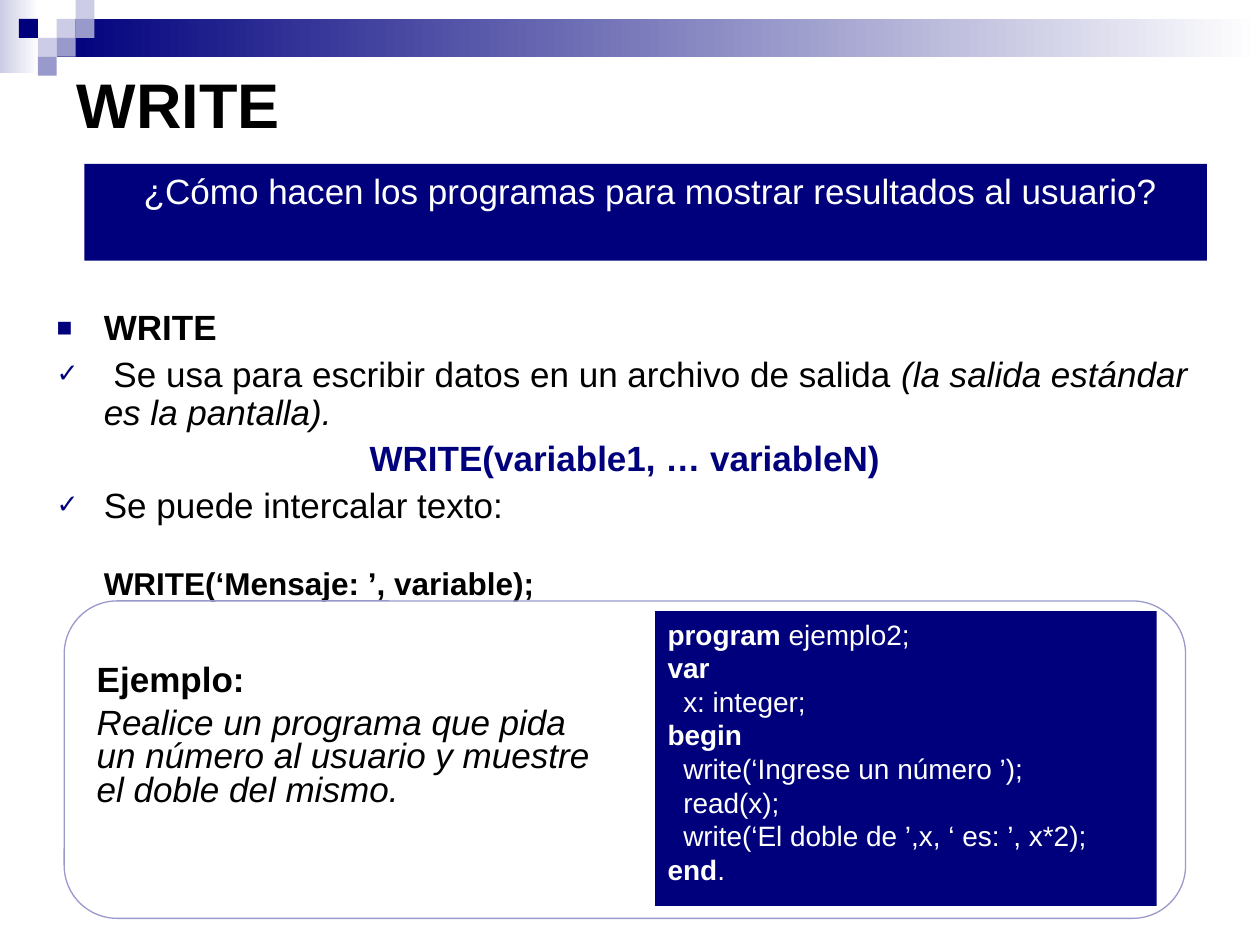
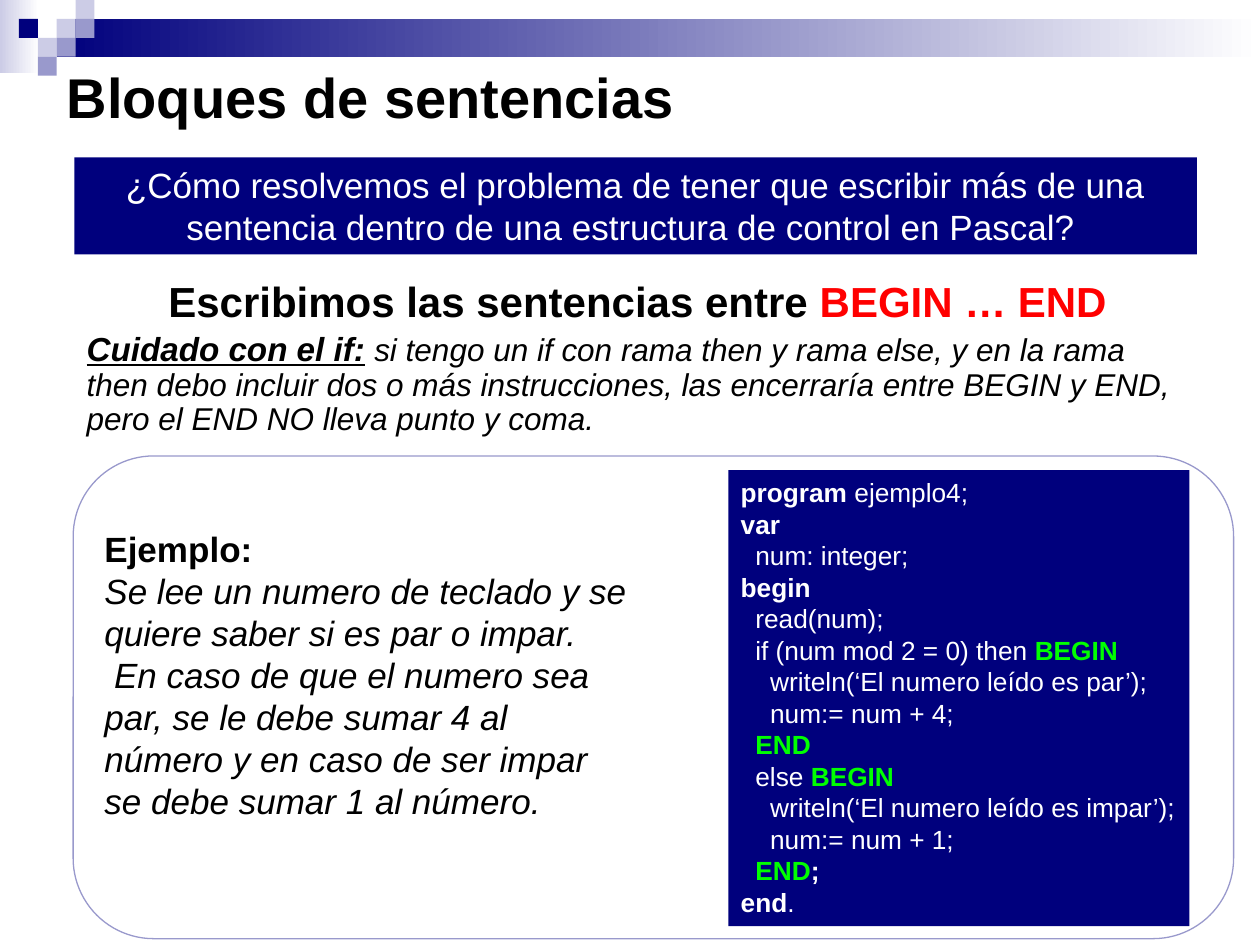
from dataclasses import dataclass

from lxml import etree
from pptx import Presentation
from pptx.dml.color import RGBColor
from pptx.enum.shapes import MSO_SHAPE
from pptx.enum.text import MSO_ANCHOR, MSO_AUTO_SIZE, PP_ALIGN
from pptx.oxml.ns import qn
from pptx.util import Pt

RECT, ROUND_RECT = MSO_SHAPE.RECTANGLE, MSO_SHAPE.ROUNDED_RECTANGLE
TOP, BOTTOM = MSO_ANCHOR.TOP, MSO_ANCHOR.BOTTOM
LEFT, CENTER = PP_ALIGN.LEFT, PP_ALIGN.CENTER
NO_FIT = MSO_AUTO_SIZE.NONE


@dataclass(frozen=True)
class Theme:
    font: str = "Arial"
    navy: str = "00007D"
    lavender: str = "9999CC"
    mist: str = "CCCCE6"
    white: str = "FFFFFF"
    black: str = "000000"
    red: str = "FF0000"
    green: str = "00FF00"
    text_size: float = 20
    small_size: float = 18
    warning_size: float = 19
    lead_size: float = 24


THEME = Theme()
BOLD = {"bold": True}
ITALIC = {"italic": True}
GREEN_BOLD = {"bold": True, "color": THEME.green}


def add_block(slide, kind, box, fill=None, line=None):
    """Add a shape at (left, top, width, height); a pair of fills is a gradient."""
    block = slide.shapes.add_shape(kind, *map(Pt, box))
    block.shadow.inherit = False
    if isinstance(fill, tuple):
        block.fill.gradient()
        block.fill.gradient_angle = 0
        for stop, color in zip(block.fill.gradient_stops, fill):
            stop.color.rgb = RGBColor.from_string(color)
    elif fill:
        block.fill.solid()
        block.fill.fore_color.rgb = RGBColor.from_string(fill)
    else:
        block.fill.background()
    if line:
        block.line.color.rgb = RGBColor.from_string(line)
        block.line.width = Pt(0.75)
    else:
        block.line.fill.background()
    return block


def write(shape, paragraphs, size=THEME.text_size, color=THEME.black, anchor=TOP, bottom=3.6):
    """Fill a shape with (runs, paragraph format) pairs; a run is (text, font format)."""
    frame = shape.text_frame
    frame_format = {
        "word_wrap": True, "auto_size": NO_FIT, "vertical_anchor": anchor,
        "margin_left": Pt(7.2), "margin_right": Pt(7.2),
        "margin_top": Pt(3.6), "margin_bottom": Pt(bottom),
    }
    for key, value in frame_format.items():
        setattr(frame, key, value)
    for number, (runs, layout) in enumerate(paragraphs):
        paragraph = frame.add_paragraph() if number else frame.paragraphs[0]
        look = {"alignment": LEFT, "line_spacing": 1.0, "space_before": Pt(0)} | layout
        bullet, margin = look.pop("bullet", None), look.pop("margin", 0)
        for key, value in look.items():
            setattr(paragraph, key, value)
        properties = paragraph._p.get_or_add_pPr()
        properties.set("marL", str(Pt(margin)))
        properties.set("indent", str(-Pt(margin) if bullet else 0))
        if bullet:
            bullet_color = etree.SubElement(properties, qn("a:buClr"))
            etree.SubElement(bullet_color, qn("a:srgbClr"), val=THEME.navy)
            etree.SubElement(properties, qn("a:buSzPct"), val="75000")
            etree.SubElement(properties, qn("a:buFont"), typeface=THEME.font)
            etree.SubElement(properties, qn("a:buChar"), char=bullet)
        for text, font_format in runs:
            run = paragraph.add_run()
            run.text = text
            style = {"name": THEME.font, "size": size, "color": color, "bold": False} | font_format
            run.font.color.rgb = RGBColor.from_string(style.pop("color"))
            style["size"] = Pt(style["size"])
            for key, value in style.items():
                setattr(run.font, key, value)


HANGING = 27
ITEM = {"line_spacing": 0.9, "space_before": Pt(5), "margin": HANGING}
SQUARE, CHECK = ITEM | {"bullet": "■"}, ITEM | {"bullet": "✓"}
TIGHT = {"line_spacing": 0.8, "space_before": Pt(5)}

# Code lines are (indent level, runs).
LESSONS = [
    {
        "title": "WRITE", "title_size": 36, "title_box": (36.7, -2, 612, 90),
        "question": " ¿Cómo hacen los programas para mostrar resultados al usuario?",
        "question_box": (48.2, 93.6, 641.5, 55.4),
        "body_box": (25.2, 174, 663.8, 157),
        "body": [
            ([("WRITE", BOLD)], SQUARE),
            ([(" Se usa para escribir datos en un archivo de salida ", {}),
              ("(la salida estándar es la pantalla).", ITALIC)], CHECK),
            ([("WRITE(variable1, … variableN)", {"bold": True, "color": THEME.navy})],
             ITEM | {"alignment": CENTER, "margin": 0}),
            ([("Se puede intercalar texto:", {})], CHECK),
            ([("WRITE(‘Mensaje: ’, variable);", {"bold": True, "size": THEME.small_size})],
             ITEM | {"space_before": Pt(24)}),
        ],
        "task_box": (48.2, 377, 298, 95),
        "task_format": TIGHT,
        "task": ["Realice un programa que pida un número al usuario y muestre el doble del mismo."],
        "code_box": (374.4, 349.2, 286.6, 168.5), "code_size": 16,
        "code": [
            (0, [("program", BOLD), (" ejemplo2;", {})]),
            (0, [("var", BOLD)]),
            (1, [("x: integer;", {})]),
            (0, [("begin", BOLD)]),
            (1, [("write(‘Ingrese un número ’);", {})]),
            (1, [("read(x);", {})]),
            (1, [("write(‘El doble de ’,x, ‘ es: ’, x*2);", {})]),
            (0, [("end", BOLD), (".", {})]),
        ],
        "frame_box": (36.7, 343.4, 640.8, 181.4),
    },
    {
        "title": "Bloques de sentencias", "title_size": 32, "title_box": (31, 20.2, 612, 61.2),
        "question": "¿Cómo resolvemos el problema de tener que escribir más de una "
                    "sentencia dentro de una estructura de control en Pascal? ",
        "question_box": (42.5, 90, 641.5, 55.4),
        "body_box": (42.5, 162, 643.7, 106.6),
        "body": [
            ([("Escribimos las sentencias entre ", {"bold": True, "size": THEME.lead_size}),
              ("BEGIN … END", {"bold": True, "size": THEME.lead_size, "color": THEME.red})],
             {"alignment": CENTER, "line_spacing": 0.7, "space_before": Pt(6)}),
            ([("Cuidado con el if:", BOLD | ITALIC | {"underline": True, "size": THEME.warning_size}),
              (" ", BOLD | ITALIC | {"size": THEME.warning_size}),
              ("si tengo un if con rama then y rama else, y en la rama then debo incluir dos o más "
               "instrucciones, las encerraría entre BEGIN y END, pero el END NO lleva punto y coma.",
               ITALIC | {"size": THEME.small_size})],
             {"line_spacing": 0.9, "space_before": Pt(4.5)}),
        ],
        "task_box": (52.6, 298, 316.8, 199),
        "task_format": {},
        "task": [
            "Se lee un numero de teclado y se quiere saber si es par o impar.",
            " En caso de que el numero sea par, se le debe sumar 4 al número y en caso de "
            "ser impar se debe sumar 1 al número.",
        ],
        "code_box": (416.2, 268.6, 263.5, 260.6), "code_size": 15,
        "code": [
            (0, [("program", BOLD), (" ejemplo4;", {})]),
            (0, [("var", BOLD)]),
            (1, [("num: integer;", {})]),
            (0, [("begin", BOLD)]),
            (1, [("read(num);", {})]),
            (1, [("if (num mod 2 = 0) then ", {}), ("BEGIN", GREEN_BOLD)]),
            (2, [("writeln(‘El numero leído es par’);", {})]),
            (2, [("num:= num + 4;", {})]),
            (1, [("END", GREEN_BOLD)]),
            (1, [("else ", {}), ("BEGIN", GREEN_BOLD)]),
            (2, [("writeln(‘El numero leído es impar’);", {})]),
            (2, [("num:= num + 1;", {})]),
            (1, [("END", GREEN_BOLD), (";", BOLD)]),
            (0, [("end", BOLD), (".", {})]),
        ],
        "frame_box": (41.8, 260.6, 663.1, 275.8),
    },
]

# Header mosaic: (column, row, colour) on a square grid
TILE = 10.8
TILES = [
    (3, 1, THEME.mist), (4, 0, THEME.mist), (4, 1, THEME.lavender), (2, 2, THEME.mist),
    (1, 1, THEME.navy), (3, 2, THEME.lavender), (2, 3, THEME.lavender),
]
HEADER = [
    ((0, 0, 22.3, 41.8), (THEME.mist, THEME.white)),
    ((3 * TILE, TILE, 720 - 3 * TILE, 2 * TILE), (THEME.navy, THEME.white)),
] + [((column * TILE, row * TILE, TILE, TILE), color) for column, row, color in TILES]

deck = Presentation()
deck.slide_width, deck.slide_height = Pt(720), Pt(540)
title_only = deck.slide_layouts[5]
slides = [deck.slides.add_slide(title_only) for _ in LESSONS]

# The header is drawn once and moved to the layout that both slides use.
for number, (box, fill) in enumerate(HEADER):
    piece = add_block(slides[0], RECT, box, fill).element
    piece.nvSpPr.cNvPr.set("id", str(100 + number))
    title_only.element.cSld.spTree.append(piece)

for slide, lesson in zip(slides, LESSONS):
    title = slide.shapes.title
    title.left, title.top, title.width, title.height = map(Pt, lesson["title_box"])
    write(title, [([(lesson["title"], BOLD)], {})], lesson["title_size"], anchor=BOTTOM, bottom=7.2)

    body = slide.shapes.add_textbox(*map(Pt, lesson["body_box"]))
    write(body, lesson["body"])

    question = add_block(slide, RECT, lesson["question_box"], THEME.navy)
    write(question, [([(lesson["question"], {})], {"alignment": CENTER})], color=THEME.white)

    task = slide.shapes.add_textbox(*map(Pt, lesson["task_box"]))
    task_runs = [("Ejemplo:", BOLD)] + [(text, ITALIC) for text in lesson["task"]]
    write(task, [([run], lesson["task_format"]) for run in task_runs])

    code = add_block(slide, RECT, lesson["code_box"], THEME.navy)
    code_indent = lesson["code_size"] * 0.56
    code_lines = [(runs, {"margin": level * code_indent}) for level, runs in lesson["code"]]
    write(code, code_lines, lesson["code_size"], THEME.white)

    add_block(slide, ROUND_RECT, lesson["frame_box"], line=THEME.lavender)

deck.save("out.pptx")
